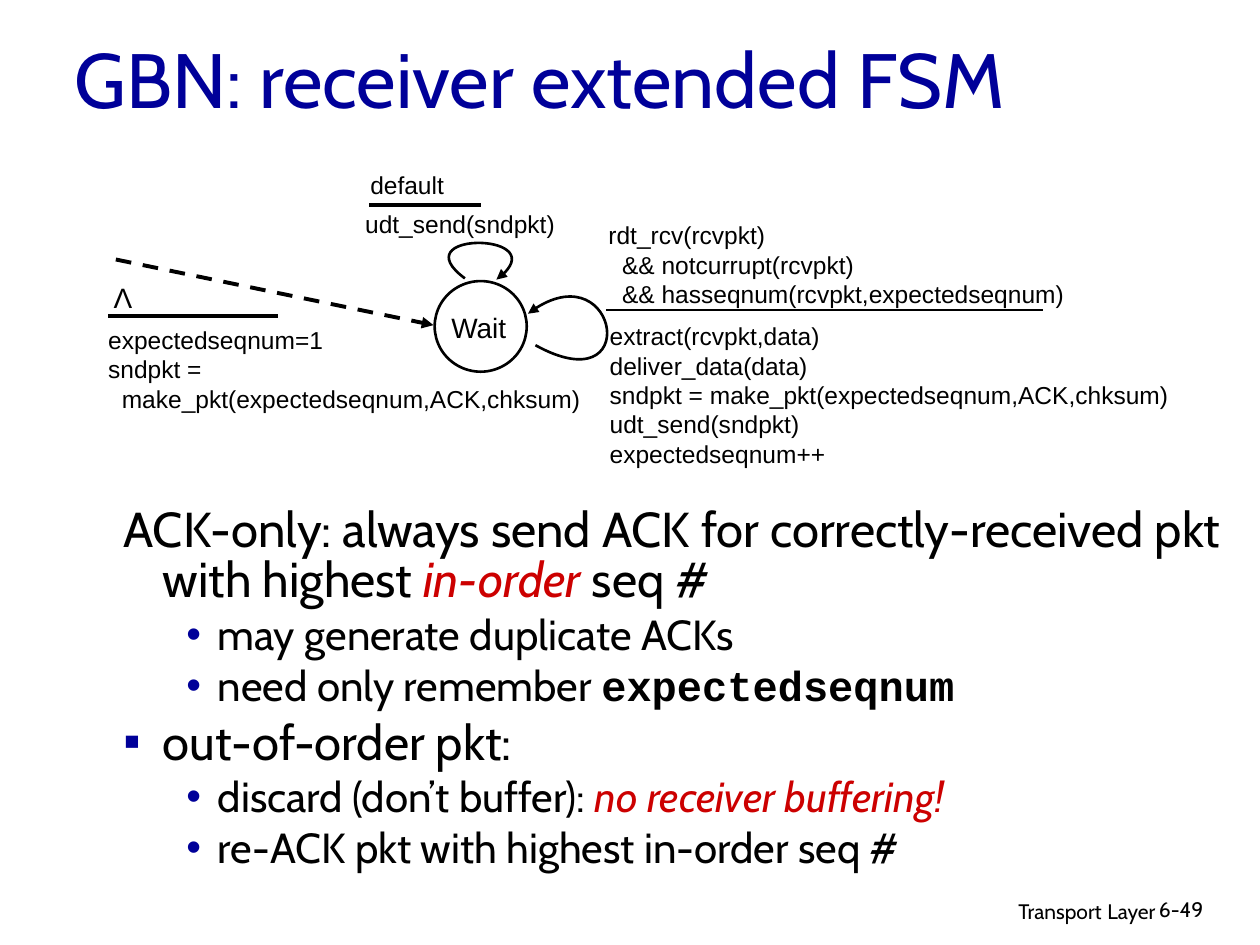
from dataclasses import dataclass

from lxml.etree import SubElement
from pptx import Presentation
from pptx.dml.color import RGBColor
from pptx.enum.dml import MSO_LINE_DASH_STYLE as Dash
from pptx.enum.shapes import MSO_CONNECTOR as Connector, MSO_SHAPE as Shape
from pptx.enum.text import MSO_ANCHOR as Anchor, MSO_AUTO_SIZE as AutoSize, PP_ALIGN as Align
from pptx.oxml.ns import qn
from pptx.util import Pt


@dataclass(frozen=True)
class Theme:
    navy: RGBColor = RGBColor(0x00, 0x00, 0x99)
    red: RGBColor = RGBColor(0xCC, 0x00, 0x00)
    black: RGBColor = RGBColor(0x00, 0x00, 0x00)
    white: RGBColor = RGBColor(0xFF, 0xFF, 0xFF)
    prose: str = "Cabin"
    label: str = "Arial"
    code: str = "Courier New"
    title: int = 44
    point: int = 28
    subpoint: int = 24
    state: int = 16
    action: int = 14
    footer: int = 12


THEME = Theme()


def style(font, name, size, color=THEME.black):
    font.name, font.size = name, Pt(size)
    font.color.rgb = color


def add_text(slide, box, lines, name, size, align=Align.LEFT, wrap=True):
    """Place a text box; a line given as (text, indent) is indented."""
    frame = slide.shapes.add_textbox(*map(Pt, box)).text_frame
    frame.word_wrap = wrap
    for i, line in enumerate(lines):
        text, indent = line if isinstance(line, tuple) else (line, 0)
        paragraph = frame.paragraphs[0] if i == 0 else frame.add_paragraph()
        paragraph.text = text
        paragraph.alignment = align
        style(paragraph.font, name, size)
        if indent:
            paragraph._p.get_or_add_pPr().set("marL", str(Pt(indent)))
    return frame


def add_arrowhead(line):
    SubElement(line._get_or_add_ln(), qn("a:tailEnd"), type="triangle")


def add_line(slide, start, end, width):
    rule = slide.shapes.add_connector(Connector.STRAIGHT, *map(Pt, (*start, *end)))
    rule.line.color.rgb = THEME.black
    rule.line.width = Pt(width)
    SubElement(rule._element.spPr, qn("a:effectLst"))
    return rule


def add_loop(slide, points):
    """Draw one cubic curve with an arrowhead from start, two controls and end."""
    start, *rest = [(Pt(x), Pt(y)) for x, y in points]
    builder = slide.shapes.build_freeform(*start)
    builder.add_line_segments(rest, close=False)
    loop = builder.convert_to_shape()
    # Turn the three straight segments into one Bezier segment
    segments = list(loop._element.iter(qn("a:lnTo")))
    outline = segments[0].getparent()
    curve = SubElement(outline, qn("a:cubicBezTo"))
    for segment in segments:
        curve.append(segment[0])
        outline.remove(segment)
    loop.fill.background()
    loop.shadow.inherit = False
    loop.line.color.rgb = THEME.black
    loop.line.width = Pt(1.5)
    add_arrowhead(loop.line)


def add_title(slide, box, text):
    title = slide.shapes.title
    title.left, title.top, title.width, title.height = map(Pt, box)
    frame = title.text_frame
    frame.text = text
    frame.auto_size = AutoSize.NONE
    frame.vertical_anchor = Anchor.MIDDLE
    frame.paragraphs[0].alignment = Align.LEFT
    style(frame.paragraphs[0].font, THEME.prose, THEME.title, THEME.navy)


def add_state_machine(slide, left, top):
    def at(x, y, *size):
        return (left + x, top + y, *size)

    def label(box, *lines, size=THEME.action, **options):
        add_text(slide, at(*box), lines, THEME.label, size, **options)

    def rule(x, y, length, width):
        add_line(slide, at(x, y), at(x + length, y), width)

    code_indent = 7.8

    # The single state
    state = slide.shapes.add_shape(Shape.OVAL, *map(Pt, at(194.4, 70.6, 52.6, 51.8)))
    state.fill.solid()
    state.fill.fore_color.rgb = THEME.white
    state.line.color.rgb = THEME.black
    state.line.width = Pt(1.5)
    state.shadow.inherit = False
    label((187.9, 84.2, 63.4, 18.7), "Wait", size=THEME.state, align=Align.CENTER)

    # Initial transition
    entry = add_line(slide, at(12.2, 58.3), at(193.7, 95.8), 2.25)
    entry.line.dash_style = Dash.DASH
    add_arrowhead(entry.line)
    label((3.6, 67, 25.2, 26.6), "Λ", size=THEME.state, align=Align.CENTER, wrap=False)
    rule(7.9, 90.7, 97.2, 2.25)
    label((0.7, 92.2, 286.6, 77), "expectedseqnum=1", "sndpkt =",
          ("make_pkt(expectedseqnum,ACK,chksum)", code_indent))

    # Default transition
    label((150.5, 3.6, 56.9, 19.4), "default")
    rule(157, 27.4, 64, 2.25)
    label((147.6, 25.9, 127.4, 24.5), "udt_send(sndpkt)")
    add_loop(slide, [at(211.7, 69.1), at(175.7, 42.5), at(266.4, 42.5), at(229.7, 69.8)])

    # In-order packet transition
    label((286.6, 32.4, 280.8, 44.6), "rdt_rcv(rcvpkt)",
          ("&& notcurrupt(rcvpkt)", code_indent),
          ("&& hasseqnum(rcvpkt,expectedseqnum)", code_indent))
    rule(292.3, 87.1, 249.8, 1.5)
    label((287.3, 90, 339.8, 67.7), "extract(rcvpkt,data)", "deliver_data(data)",
          "sndpkt = make_pkt(expectedseqnum,ACK,chksum)", "udt_send(sndpkt)",
          "expectedseqnum++")
    add_loop(slide, [at(252, 107.3), at(313.2, 141.1), at(298.8, 50.4), at(247.7, 89.3)])


def add_bullet(properties, mark):
    """Insert the bullet ahead of the default run properties."""
    color = SubElement(properties, qn("a:buClr"))
    SubElement(color, qn("a:srgbClr"), val=str(THEME.navy))
    SubElement(properties, qn("a:buFont"), typeface=THEME.label)
    SubElement(properties, qn("a:buChar"), char=mark)
    properties.append(properties.find(qn("a:defRPr")))


def add_notes_list(slide, box, points):
    frame = slide.shapes.add_textbox(*map(Pt, box)).text_frame
    frame.word_wrap = True
    for i, (level, mark, pieces) in enumerate(points):
        size, margin, hang = ((THEME.point, 22.5, 22.5), (THEME.subpoint, 54, 18))[level]
        paragraph = frame.paragraphs[0] if i == 0 else frame.add_paragraph()
        paragraph.level = level
        paragraph.line_spacing = 0.85
        paragraph.space_before = Pt(size * 0.2)
        style(paragraph.font, THEME.prose, size)
        properties = paragraph._p.get_or_add_pPr()
        properties.set("marL", str(Pt(margin)))
        properties.set("indent", str(-Pt(hang)))
        if mark:
            add_bullet(properties, mark)
        for text, kind in pieces:
            run = paragraph.add_run()
            run.text = text
            if kind == "stress":
                run.font.italic = True
                run.font.color.rgb = THEME.red
            elif kind == "code":
                run.font.name = THEME.code
                run.font.bold = True


def add_footer(slide, left, top):
    chapter = add_text(slide, (left, top, 228.2, 22.3), ["Transport"],
                       THEME.prose, THEME.footer, Align.RIGHT).paragraphs[0]
    gap, layer = chapter.add_run(), chapter.add_run()
    gap.text, layer.text = " ", "Layer"
    gap.font.size = Pt(THEME.action)
    add_text(slide, (left + 216, top + 1.4, 53.3, 21.6), ["6-49"], THEME.prose, THEME.footer)


def main():
    deck = Presentation()
    deck.slide_width, deck.slide_height = Pt(720), Pt(540)
    slide = deck.slides.add_slide(deck.slide_layouts[5])

    add_title(slide, (35.3, 16.6, 612, 55.4), "GBN: receiver extended FSM")
    add_state_machine(slide, 54, 90)
    add_notes_list(slide, (63.4, 286.6, 641.5, 224.6), [
        (0, None, [("ACK-only: always send ACK for correctly-received pkt with highest ", None),
                   ("in-order", "stress"), (" seq #", None)]),
        (1, "•", [("may generate duplicate ACKs", None)]),
        (1, "•", [("need only remember ", None), ("expectedseqnum", "code")]),
        (0, "▪", [("out-of-order pkt:", None)]),
        (1, "•", [("discard (don’t buffer): ", None), ("no receiver buffering!", "stress")]),
        (1, "•", [("re-ACK pkt with highest in-order seq #", None)]),
    ])
    add_footer(slide, 439.2, 507.6)
    deck.save("out.pptx")


if __name__ == "__main__":
    main()
